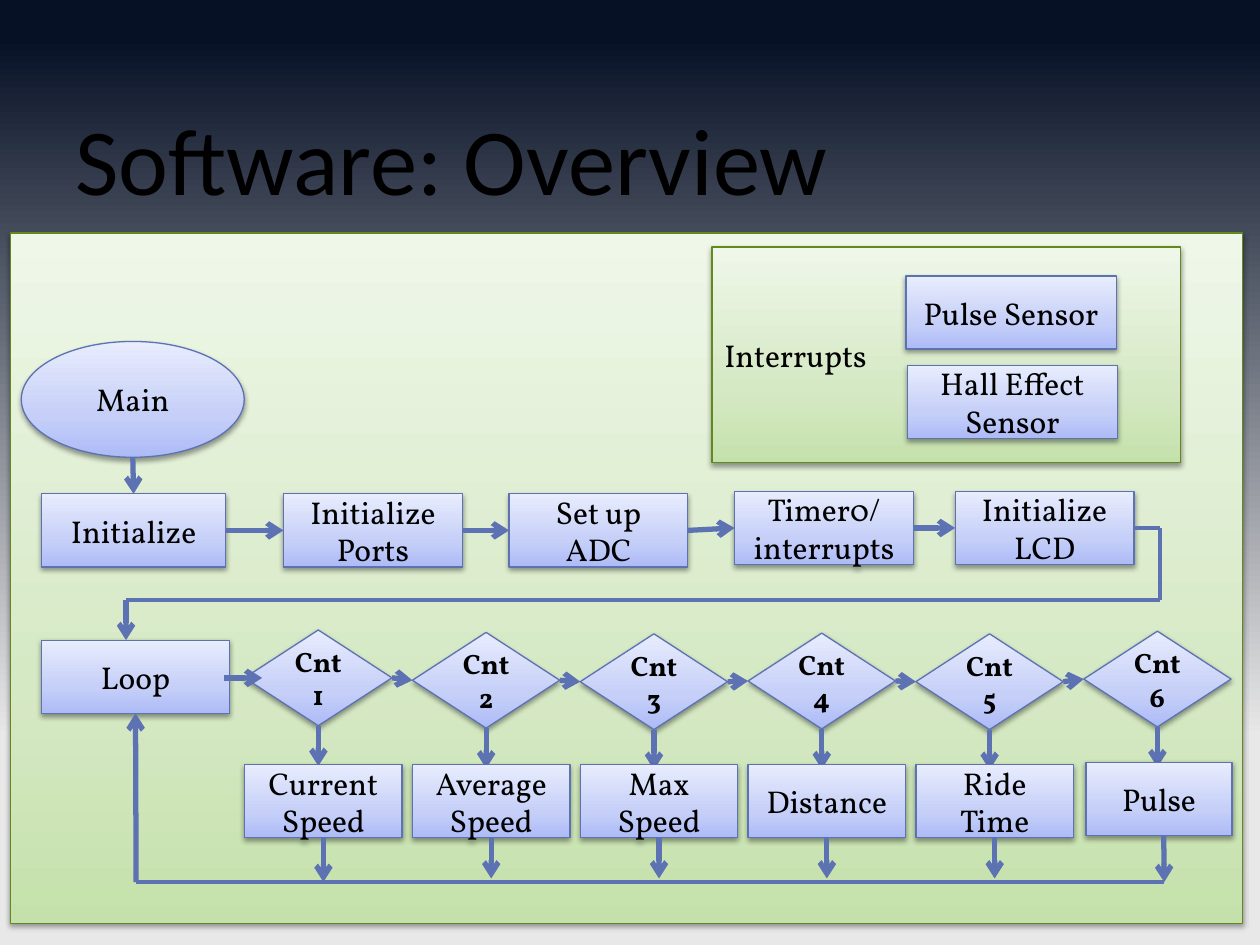
from pptx import Presentation
from pptx.dml.color import RGBColor
from pptx.enum.shapes import MSO_CONNECTOR as Conn, MSO_SHAPE as Kind
from pptx.enum.text import MSO_ANCHOR as Anchor, PP_ALIGN as Align
from pptx.oxml.ns import qn
from pptx.util import Pt
from lxml.etree import SubElement as Sub

BLUE = ("5C72B2", [(0, "ADBBF6"), (35, "C5CFF8"), (100, "E8ECFD")])
GREEN = ("62891C", [(0, "C5E1AB"), (35, "D6E9C5"), (100, "EFF7E9")])
SKY = [(4, "071126"), (78, "E8E8E8")]

HIGH = 41.8
SETUP = [
    ("Initialize", 23.8, 282.2, 105.1),
    ("Initialize Ports", 162, 282.2, 102.2),
    ("Set up ADC", 290.9, 282.2, 102.2),
    ("Timer0/ interrupts", 419.8, 280.8, 102.2),
    ("Initialize LCD", 545.8, 280.8, 102.2),
]
SENSORS = [
    ("Pulse Sensor", 517.7, 157.7, 120.2),
    ("Hall Effect Sensor", 518.4, 208.8, 120.2),
]
COUNTS = [
    ("Cnt1", 360), ("Cnt2", 361.4), ("Cnt3", 362.2),
    ("Cnt4", 361.8), ("Cnt5", 362.2), ("Cnt6", 360.7),
]
MODES = ["Current Speed", "Average Speed", "Max Speed", "Distance", "Ride Time"]
LEFT, STEP, DROP = 139.8, 95.9, 23
RETURN = [(648, 301.7), (663.1, 301.7), (663.1, 342.7), (72, 342.7)]
BUS = 504

prs = Presentation()
prs.slide_width, prs.slide_height = Pt(720), Pt(540)
slide = prs.slides.add_slide(prs.slide_layouts[5])
shapes = slide.shapes


def color(code):
    return RGBColor.from_string(code)


def shade(fill, root, stops, angle):
    fill.gradient()
    fill.gradient_angle = angle
    band = next(root.iter(qn("a:gsLst")))
    for old in list(band):
        band.remove(old)
    for pos, code in stops:
        stop = Sub(band, qn("a:gs"), pos=str(pos * 1000))
        Sub(stop, qn("a:srgbClr"), val=code)


def style(run, size, font, bold=False):
    run.font.size, run.font.name, run.font.bold = Pt(size), font, bold
    run.font.color.rgb = color("000000")


def block(text, x, y, wide, high=HIGH, kind=Kind.RECTANGLE, look=BLUE,
          align=Align.CENTER, size=18, bold=False):
    shape = shapes.add_shape(kind, Pt(x), Pt(y), Pt(wide), Pt(high))
    edge, stops = look
    shade(shape.fill, shape.element, stops, 90)
    shape.line.color.rgb = color(edge)
    shape.line.width = Pt(0.75)
    shape.shadow.inherit = False
    glow = Sub(shape.element.spPr.find(qn("a:effectLst")), qn("a:outerShdw"),
               blurRad=str(Pt(3.1)), dist=str(Pt(1.6)), dir="5400000",
               rotWithShape="0")
    Sub(Sub(glow, qn("a:srgbClr"), val="000000"), qn("a:alpha"), val="38000")
    if text:
        frame = shape.text_frame
        frame.text = text
        frame.word_wrap = True
        frame.vertical_anchor = Anchor.MIDDLE
        para = frame.paragraphs[0]
        para.alignment = align
        style(para.runs[0], size, "Vollkorn", bold)
    return shape


def spot(end):
    item, where = end
    if isinstance(item, (int, float)):
        return Pt(item), Pt(where)
    mid, half = item.left + item.width // 2, item.top + item.height // 2
    return [(mid, item.top), (item.left, half),
            (mid, item.top + item.height), (item.left + item.width, half)][where]


def link(start, end, arrow=True):
    line = shapes.add_connector(Conn.STRAIGHT, *spot(start), *spot(end))
    for (item, where), join in ((start, line.begin_connect), (end, line.end_connect)):
        if not isinstance(item, (int, float)):
            join(item, where)
    line.line.color.rgb = color(BLUE[0])
    line.line.width = Pt(3 if arrow else 2.25)
    props = line.element.spPr
    if arrow:
        Sub(props.find(qn("a:ln")), qn("a:tailEnd"), type="arrow")
    Sub(props, qn("a:effectLst"))


def chain(items):
    for one, two in zip(items, items[1:]):
        link((one, 3), (two, 1))


shade(slide.background.fill, slide.element, SKY, 270)

title = shapes.title
title.left, title.top, title.width, title.height = Pt(36), Pt(0), Pt(696), Pt(126)
title.text_frame.text = "Software: Overview"
title.text_frame.vertical_anchor = Anchor.BOTTOM
head = title.text_frame.paragraphs[0]
head.alignment, head.line_spacing = Align.LEFT, Pt(58)
style(head.runs[0], 54, "Calibri")

block("", 5.8, 133.2, 704.2, 394.6, look=GREEN)
block("Interrupts", 406.8, 141.1, 267.8, 123.1, look=GREEN, align=Align.LEFT)
for sensor in SENSORS:
    block(*sensor)

main = block("Main", 12.2, 195.1, 127.4, 66.2, Kind.OVAL)
steps = [block(*step) for step in SETUP]
loop = block("Loop", 23.8, 365.8, 107.3)
link((main, 2), (steps[0], 0))
chain(steps)

link((steps[-1], 3), RETURN[1], False)
for one, two in zip(RETURN[1:], RETURN[2:]):
    link(one, two, False)
link(RETURN[-1], (72, 365.8))

counts = [block(text, LEFT + STEP * i, y, 84.2, 54.7, Kind.DIAMOND, size=16, bold=True)
          for i, (text, y) in enumerate(COUNTS)]
link((128.2, 387.4), (149.8, 387.4))
chain(counts)
for i, (text, y) in enumerate(COUNTS):
    link((counts[i], 2), (LEFT + STEP * i + 42.1, y + 54.7 + DROP))

modes = [block(text, LEFT + STEP * i, 437, 90) for i, text in enumerate(MODES)]
block("Pulse", 620.6, 435.6, 83.5)
for i, mode in enumerate(modes):
    link((mode, 2), (LEFT + STEP * i + 45, 502 if i else BUS))
link((665, 477.4), (665.3, BUS))
link((77.8, BUS), (665.3, BUS), False)
link((77.8, BUS), (loop, 2))

prs.save("out.pptx")
